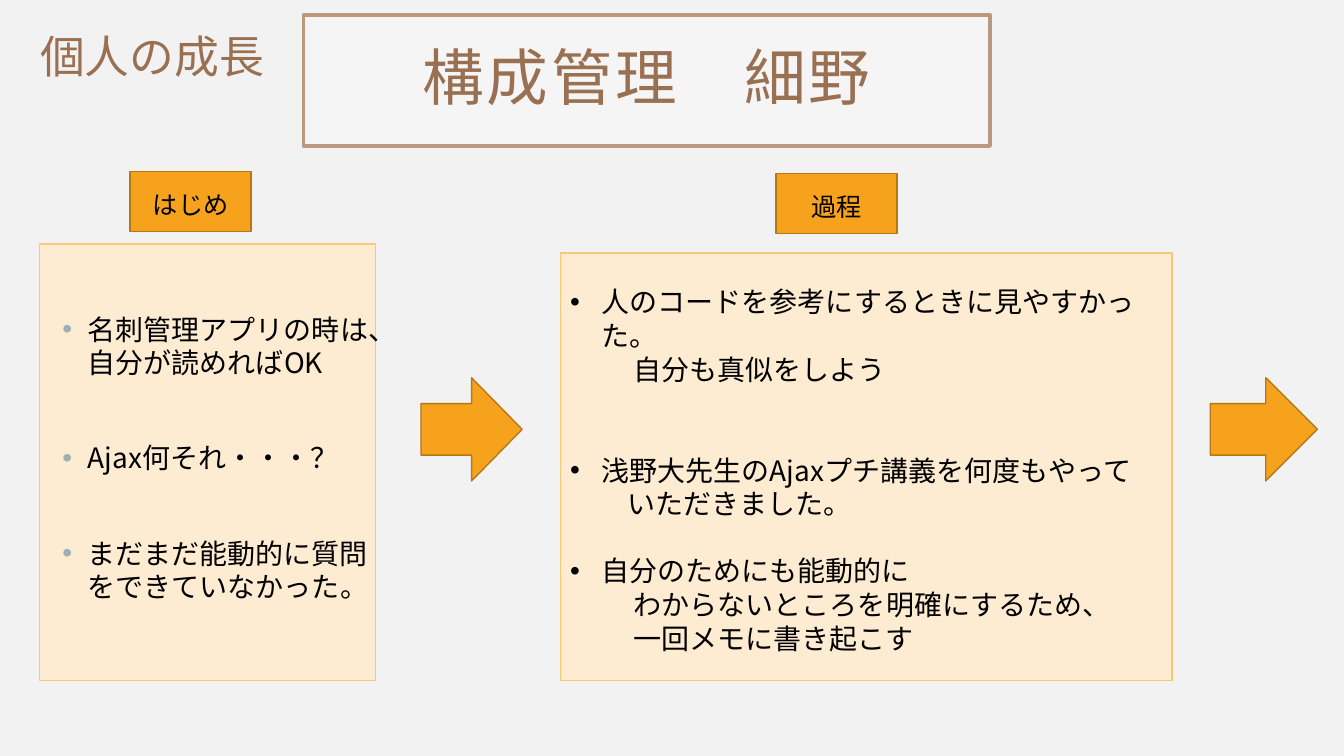
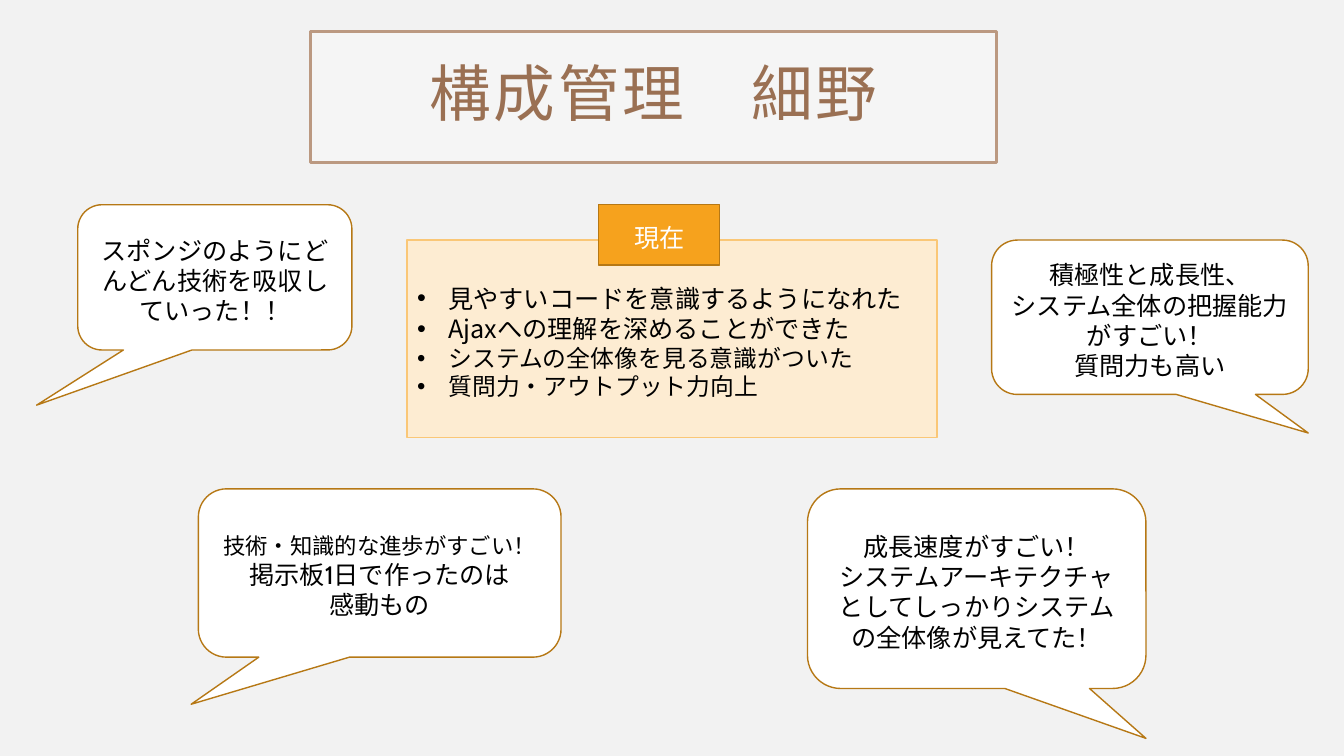
from lxml import etree
from pptx import Presentation
from pptx.dml.color import RGBColor
from pptx.enum.shapes import MSO_SHAPE
from pptx.enum.text import MSO_ANCHOR, MSO_AUTO_SIZE, PP_ALIGN
from pptx.oxml.ns import qn
from pptx.util import Cm, Pt

RECTANGLE = MSO_SHAPE.RECTANGLE
ARROW = MSO_SHAPE.RIGHT_ARROW
CALLOUT = MSO_SHAPE.ROUNDED_RECTANGULAR_CALLOUT
MIDDLE, TOP = MSO_ANCHOR.MIDDLE, MSO_ANCHOR.TOP
LEFT, CENTER = PP_ALIGN.LEFT, PP_ALIGN.CENTER
NO_AUTOFIT = MSO_AUTO_SIZE.NONE
TITLE_ONLY = 5

COLORS = {
    "background": "F2F2F2", "white": "FFFFFF", "text": "000000",
    "title": "9A7053", "title_line": "BB9981",
    "panel": "FDECD2", "panel_line": "FAC777",
    "accent": "F6A21D", "accent_line": "B67815", "bullet": "9BAFB5",
}
HEADING_FONT, JAPANESE_FONT = "Cabin", "Noto Sans CJK JP"
TITLE = "構成管理\u3000細野"
TITLE_SIZE = (17.3, 3.3)
LABEL_SIZE = (3.05, 1.52)
LINE_FACTOR = 1.2
PANEL_INDENT = 0.79


def rgb(name):
    return RGBColor.from_string(COLORS[name])


def lengths(box):
    return [Cm(value) for value in box]


def add_bullet(paragraph, indent, color):
    properties = paragraph._p.get_or_add_pPr()
    properties.set("marL", str(Cm(indent)))
    properties.set("indent", str(-Cm(indent)))
    fill = etree.SubElement(properties, qn("a:buClr"))
    etree.SubElement(fill, qn("a:srgbClr"), val=COLORS[color])
    etree.SubElement(properties, qn("a:buFont"), typeface="Arial")
    etree.SubElement(properties, qn("a:buChar"), char="•")


def write_text(shape, lines, size=18, color="text", font=JAPANESE_FONT, align=CENTER,
               anchor=MIDDLE, bullet_color="text", bullet_indent=PANEL_INDENT,
               spacing=None, tracking=0, margins=(0.25, 0.25, 0.25, 0.1)):
    """Write lines, each a string or a dict with text, bullet, indent, before and size."""
    frame = shape.text_frame
    frame.word_wrap = True
    frame.auto_size = NO_AUTOFIT
    frame.vertical_anchor = anchor
    (frame.margin_left, frame.margin_top,
     frame.margin_right, frame.margin_bottom) = lengths(margins)
    for index, line in enumerate(lines):
        line = {"text": line} if isinstance(line, str) else line
        paragraph = frame.add_paragraph() if index else frame.paragraphs[0]
        if line.get("bullet"):
            add_bullet(paragraph, bullet_indent, bullet_color)
        elif "indent" in line:
            paragraph._p.get_or_add_pPr().set("marL", str(Cm(line["indent"])))
        line_size = line.get("size", size)
        paragraph.alignment = align
        paragraph.line_spacing = spacing or Pt(line_size * LINE_FACTOR)
        paragraph.space_before = Pt(line.get("before", 0))
        run = paragraph.add_run()
        run.text = line["text"]
        run.font.size = Pt(line_size)
        run.font.color.rgb = rgb(color)
        run.font.name = font
        properties = run._r.get_or_add_rPr()
        etree.SubElement(properties, qn("a:ea"), typeface=JAPANESE_FONT)
        if tracking:
            properties.set("spc", str(tracking * 100))


def paint(shape, fill, line, width=1):
    shape.fill.solid()
    shape.fill.fore_color.rgb = rgb(fill)
    shape.line.color.rgb = rgb(line)
    shape.line.width = Pt(width)


def add_box(slide, kind, box, fill="accent", line="accent_line"):
    shape = slide.shapes.add_shape(kind, *lengths(box))
    shape.shadow.inherit = False
    paint(shape, fill, line)
    return shape


def add_titled_slide(presentation, left, top):
    slide = presentation.slides.add_slide(presentation.slide_layouts[TITLE_ONLY])
    title = slide.shapes.title
    title.left, title.top, title.width, title.height = lengths((left, top, *TITLE_SIZE))
    paint(title, "white", "title_line", 2.5)
    fill = title._element.spPr.find(qn("a:solidFill"))
    etree.SubElement(fill[0], qn("a:alpha"), val="30000")
    write_text(title, [TITLE], size=44, color="title", font=HEADING_FONT,
               spacing=0.9, tracking=2, margins=(0.5,) * 4)
    return slide


def add_panel(slide, box, label, label_offset, label_color="text"):
    """Draw a pale panel and its label, offset from the panel's top left corner."""
    panel = add_box(slide, RECTANGLE, box, "panel", "panel_line")
    left, top = (start + offset for start, offset in zip(box, label_offset))
    label_box = add_box(slide, RECTANGLE, (left, top, *LABEL_SIZE))
    write_text(label_box, [label], color=label_color)
    return panel


def add_beginning(slide, box):
    add_panel(slide, box, "はじめ", (2.29, -1.83))
    left, top, width, height = box
    text_box = slide.shapes.add_textbox(
        *lengths((left + 0.33, top + 0.51, width, height - 1.4)))
    points = ["名刺管理アプリの時は、自分が読めればOK", "Ajax何それ・・・？",
              "まだまだ能動的に質問をできていなかった。"]
    lines = [{"text": text, "bullet": True, "before": 44 if index else 0}
             for index, text in enumerate(points)]
    write_text(text_box, lines, size=20, align=LEFT,
               bullet_color="bullet", bullet_indent=0.64)


def add_process(slide, box):
    panel = add_panel(slide, box, "過程", (5.44, -2.01))
    write_text(panel, [
        {"text": "人のコードを参考にするときに見やすかった。", "bullet": True},
        {"text": "自分も真似をしよう", "indent": 1.6},
        {"text": "浅野大先生のAjaxプチ講義を何度もやって", "bullet": True, "before": 48},
        {"text": "いただきました。", "indent": 1.45},
        {"text": "自分のためにも能動的に", "bullet": True, "before": 24},
        {"text": "わからないところを明確にするため、", "indent": 1.6},
        {"text": "一回メモに書き起こす", "indent": 1.6},
    ], size=20, align=LEFT)


def add_present(slide, box):
    panel = add_panel(slide, box, "現在", (4.83, -0.89), "white")
    points = [("見やすいコードを意識するようになれた", 18),
              ("Ajaxへの理解を深めることができた", 18),
              ("システムの全体像を見る意識がついた", 17),
              ("質問力・アウトプット力向上", 17)]
    write_text(panel, [{"text": text, "size": size, "bullet": True}
                       for text, size in points], align=LEFT)


def add_callout(slide, box, tip, lines):
    """Draw a speech bubble; tip is relative to its centre, in widths and heights."""
    callout = add_box(slide, CALLOUT, box, "white")
    callout.adjustments[0], callout.adjustments[1] = tip
    write_text(callout, lines, font=HEADING_FONT)


def build_growth_slide(presentation):
    slide = add_titled_slide(presentation, 7.65, 0.38)
    heading = slide.shapes.add_textbox(*lengths((0.76, 0.48, 7.54, 1.78)))
    write_text(heading, ["個人の成長"], size=32, color="title", font=HEADING_FONT,
               align=LEFT, anchor=TOP)
    add_beginning(slide, (0.99, 6.15, 8.48, 11))
    add_process(slide, (14.12, 6.38, 15.42, 10.77))
    for left, width in ((10.61, 2.55), (30.5, 2.7)):
        add_box(slide, ARROW, (left, 9.52, width, 2.6))


def build_present_slide(presentation):
    slide = add_titled_slide(presentation, 7.82, 0.79)
    add_present(slide, (10.26, 6.05, 13.36, 4.98))
    callouts = [
        ((1.96, 5.16, 6.91, 3.66), (-0.65, 0.88),
         ["スポンジのようにどんどん技術を吸収していった！！"]),
        ((5, 12.32, 9.14, 4.24), (-0.52, 0.78),
         [{"text": "技術・知識的な進歩がすごい！", "size": 16},
          "掲示板1日で作ったのは", "感動もの"]),
        ((20.35, 12.32, 8.53, 5.03), (0.5, 0.75),
         ["成長速度がすごい！",
          "システムアーキテクチャとしてしっかりシステムの全体像が見えてた！"]),
        ((24.99, 6.05, 7.98, 3.89), (0.5, 0.75),
         ["積極性と成長性、", "システム全体の把握能力がすごい！", "質問力も高い"]),
    ]
    for box, tip, lines in callouts:
        add_callout(slide, box, tip, lines)


def main():
    presentation = Presentation()
    presentation.slide_width, presentation.slide_height = lengths((33.87, 19.05))
    background = presentation.slide_master.background.fill
    background.solid()
    background.fore_color.rgb = rgb("background")
    build_growth_slide(presentation)
    build_present_slide(presentation)
    presentation.save("out.pptx")


if __name__ == "__main__":
    main()
